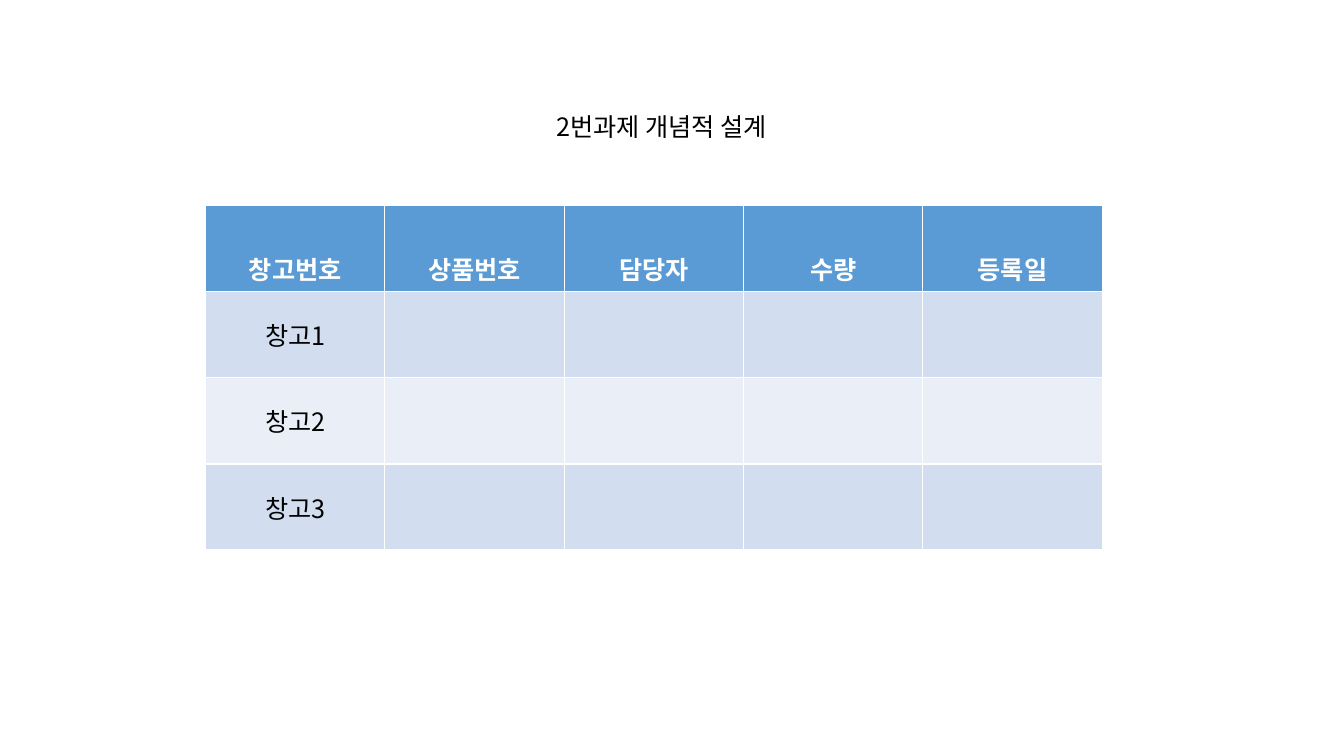
"""Build a slide with the conceptual design of a warehouse table."""
from dataclasses import dataclass

from lxml.etree import SubElement
from pptx import Presentation
from pptx.dml.color import RGBColor
from pptx.enum.text import MSO_ANCHOR, MSO_AUTO_SIZE, PP_ALIGN
from pptx.oxml.ns import qn
from pptx.util import Cm, Pt


@dataclass(frozen=True)
class Theme:
    font: str = "Noto Sans CJK KR"
    size: int = 18
    text: str = "000000"
    light: str = "FFFFFF"
    header: str = "5B9BD5"
    bands: tuple = ("D2DEEF", "EAEFF7")


class DesignSlide:
    def __init__(self, deck, theme):
        self.theme = theme
        self.slide = deck.slides.add_slide(deck.slide_layouts[5])

    def style(self, paragraph, color, bold=False):
        paragraph.alignment = PP_ALIGN.CENTER
        font = paragraph.font
        font.name = self.theme.font
        font.size = Pt(self.theme.size)
        font.bold = bold
        font.color.rgb = RGBColor.from_string(color)
        defaults = paragraph._p.get_or_add_pPr().find(qn("a:defRPr"))
        SubElement(defaults, qn("a:ea"), typeface=self.theme.font)

    def title(self, text, left, top, width, height):
        heading = self.slide.shapes.title
        heading.left, heading.top = Cm(left), Cm(top)
        heading.width, heading.height = Cm(width), Cm(height)
        heading.line.color.rgb = RGBColor.from_string(self.theme.light)
        heading.line.width = Pt(1)
        frame = heading.text_frame
        frame.text = text
        frame.word_wrap = True
        frame.auto_size = MSO_AUTO_SIZE.SHAPE_TO_FIT_TEXT
        frame.vertical_anchor = MSO_ANCHOR.MIDDLE
        self.style(frame.paragraphs[0], self.theme.text)

    def table(self, columns, warehouses, left, top, column_width, row_height):
        row_count = len(warehouses) + 1
        grid = self.slide.shapes.add_table(
            row_count, len(columns), Cm(left), Cm(top),
            Cm(column_width * len(columns)), Cm(row_height * row_count)).table
        for column, name in enumerate(columns):
            self.cell(grid.cell(0, column), name, self.theme.header,
                      self.theme.light, MSO_ANCHOR.BOTTOM, bold=True)
        for row, warehouse in enumerate(warehouses, start=1):
            band = self.theme.bands[(row - 1) % len(self.theme.bands)]
            for column in range(len(columns)):
                self.cell(grid.cell(row, column), "" if column else warehouse,
                          band, self.theme.text, MSO_ANCHOR.MIDDLE)

    def cell(self, cell, text, fill, color, anchor, bold=False):
        cell.fill.solid()
        cell.fill.fore_color.rgb = RGBColor.from_string(fill)
        cell.vertical_anchor = anchor
        cell.text = text
        self.style(cell.text_frame.paragraphs[0], color, bold)


def main():
    deck = Presentation()
    deck.slide_width, deck.slide_height = Cm(33.87), Cm(19.05)
    design = DesignSlide(deck, Theme())
    design.title("2번과제 개념적 설계", 5.18, 2.67, 22.99, 1.02)
    design.table(["창고번호", "상품번호", "담당자", "수량", "등록일"],
                 [f"창고{number}" for number in range(1, 4)],
                 5.18, 5.18, column_width=4.52, row_height=2.17)
    deck.save("out.pptx")


if __name__ == "__main__":
    main()
